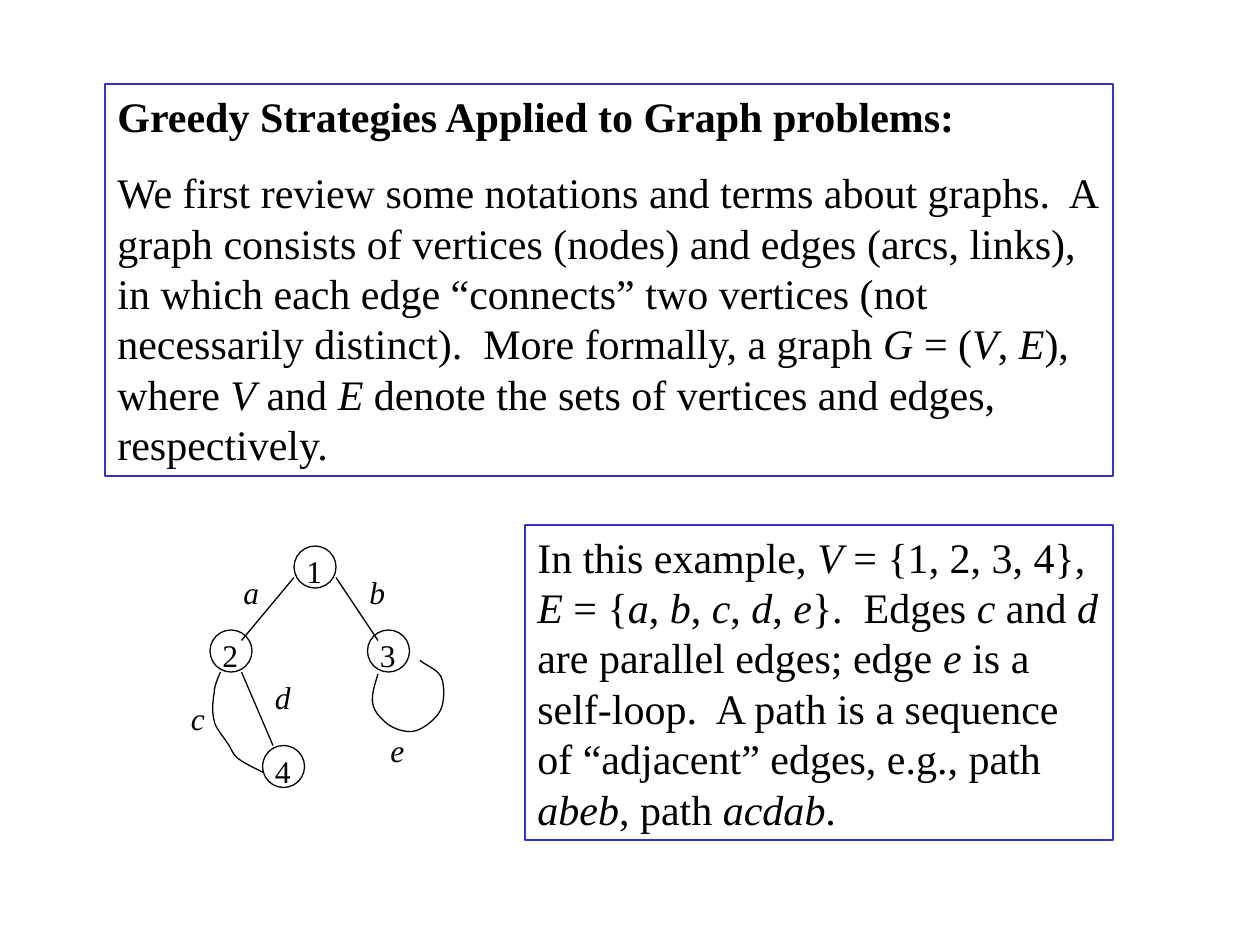
"""Build a slide that introduces graph notation with a small labelled graph."""
from pptx import Presentation
from pptx.dml.color import RGBColor
from pptx.enum.shapes import MSO_CONNECTOR as Line, MSO_SHAPE as Shape
from pptx.enum.text import MSO_ANCHOR as Anchor, MSO_AUTO_SIZE as Fit, PP_ALIGN as Align
from pptx.oxml.ns import qn
from pptx.util import Cm, Pt

BLACK = RGBColor(0x00, 0x00, 0x00)
BLUE = RGBColor(0x33, 0x33, 0xCC)
FONT = "Times New Roman"
UNIT = 2.54 / 12
NODE = 4
LABEL_H = 4.8
STEPS = 8

TITLE = "Greedy Strategies Applied to Graph problems:"
INTRO = (
    "We first review some notations and terms about graphs.  A graph consists of "
    "vertices (nodes) and edges (arcs, links), in which each edge “connects” two "
    "vertices (not necessarily distinct).  More formally, a graph *G* = (*V*, *E*), "
    "where *V* and *E* denote the sets of vertices and edges, respectively."
)
EXAMPLE = (
    "In this example, *V* = {1, 2, 3, 4}, *E* = {*a*, *b*, *c*, *d*, *e*}.  "
    "Edges *c* and *d* are parallel edges; edge *e* is a self-loop.  A path is a "
    "sequence of “adjacent” edges, e.g., path *abeb*, path *acdab*."
)
PANELS = [
    ((10, 8, 96, 37.33), [(TITLE, True), (INTRO, False)]),
    ((50, 50, 56, 30), [(EXAMPLE, False)]),
]
NODES = [("1", 28, 52, 5), ("2", 20, 60, 4), ("3", 35, 60, 4), ("4", 25, 71, 6)]
EDGES = [(28, 55, 23, 61), (32, 55, 36, 61), (23, 64, 26, 71)]
EDGE_LABELS = [
    ("*a*", 22, 54, 5), ("*b*", 34, 54, 5), ("*c*", 17, 66, 7),
    ("*d*", 25, 64, 4), ("*e*", 36, 69, 8),
]
SELF_LOOP = [
    (36, 64.2), (35.88, 64.68), (35.28, 66.24), (35.52, 67.08),
    (35.64, 67.8), (36.36, 68.52), (36.96, 69),
    (37.68, 69.48), (38.76, 69.84), (39.6, 69.6),
    (40.44, 69.36), (41.64, 68.4), (42, 67.56),
    (42.36, 66.72), (42.36, 65.16), (42, 64.44),
    (41.64, 63.72), (40.32, 63.24), (40, 62.88),
]
PARALLEL_EDGE = [
    (21, 64), (20.88, 64.32), (20.4, 65.28), (20.4, 66),
    (20.28, 66.72), (20.16, 67.8), (20.4, 68.64),
    (20.52, 69.36), (21.24, 70.08), (21.6, 70.68),
    (22.08, 71.28), (22.08, 71.76), (22.68, 72.24),
    (23.28, 72.72), (24.6, 73.32), (25.08, 73.56),
]


def grid(*values):
    return [Cm(v * UNIT) for v in values]


def outline(sp, color):
    sp.shadow.inherit = False
    sp.fill.background()
    sp.line.color.rgb = color
    sp.line.width = Pt(0.75)


def write(sp, paragraphs, size, before):
    tf = sp.text_frame
    tf.word_wrap = True
    tf.auto_size = Fit.SHAPE_TO_FIT_TEXT
    tf.vertical_anchor = Anchor.TOP
    for i, (text, bold) in enumerate(paragraphs):
        p = tf.add_paragraph() if i else tf.paragraphs[0]
        p.alignment = Align.LEFT
        p.space_before = Pt(before)
        for j, part in enumerate(text.split("*")):
            if part:
                r = p.add_run()
                r.text = part
                r.font.name = FONT
                r.font.size = Pt(size)
                r.font.bold = bold
                r.font.italic = j % 2 == 1
                r.font.color.rgb = BLACK


def add_panel(s, box, paragraphs):
    sp = s.shapes.add_shape(Shape.RECTANGLE, *grid(*box))
    outline(sp, BLUE)
    write(sp, paragraphs, 24, 15)


def add_label(s, text, x, y, width):
    sp = s.shapes.add_textbox(*grid(x, y, width, LABEL_H))
    write(sp, [(text, False)], 18, 11.2)


def add_edge(s, ends):
    cxn = s.shapes.add_connector(Line.STRAIGHT, *grid(*ends))
    cxn.line.color.rgb = BLACK
    cxn.line.width = Pt(0.75)
    sppr = cxn._element.spPr
    sppr.append(sppr.makeelement(qn("a:effectLst"), {}))


def bezier(knots, t):
    weights = ((1 - t) ** 3, 3 * t * (1 - t) ** 2, 3 * t * t * (1 - t), t ** 3)
    return grid(*(sum(w * v for w, v in zip(weights, axis)) for axis in zip(*knots)))


def add_curve(s, knots):
    points = [
        bezier(knots[i:i + 4], step / STEPS)
        for i in range(0, len(knots) - 1, 3)
        for step in range(1, STEPS + 1)
    ]
    builder = s.shapes.build_freeform(*grid(*knots[0]))
    builder.add_line_segments(points, close=False)
    outline(builder.convert_to_shape(), BLACK)


def main():
    prs = Presentation()
    prs.slide_width, prs.slide_height = Cm(25.4), Cm(19.05)
    s = prs.slides.add_slide(prs.slide_layouts[6])
    add_panel(s, *PANELS[0])
    for _, x, y, _ in NODES:
        outline(s.shapes.add_shape(Shape.OVAL, *grid(x, y, NODE, NODE)), BLACK)
    for ends in EDGES:
        add_edge(s, ends)
    for knots in (SELF_LOOP, PARALLEL_EDGE):
        add_curve(s, knots)
    for label in NODES + EDGE_LABELS:
        add_label(s, *label)
    add_panel(s, *PANELS[1])
    prs.save("out.pptx")


if __name__ == "__main__":
    main()
